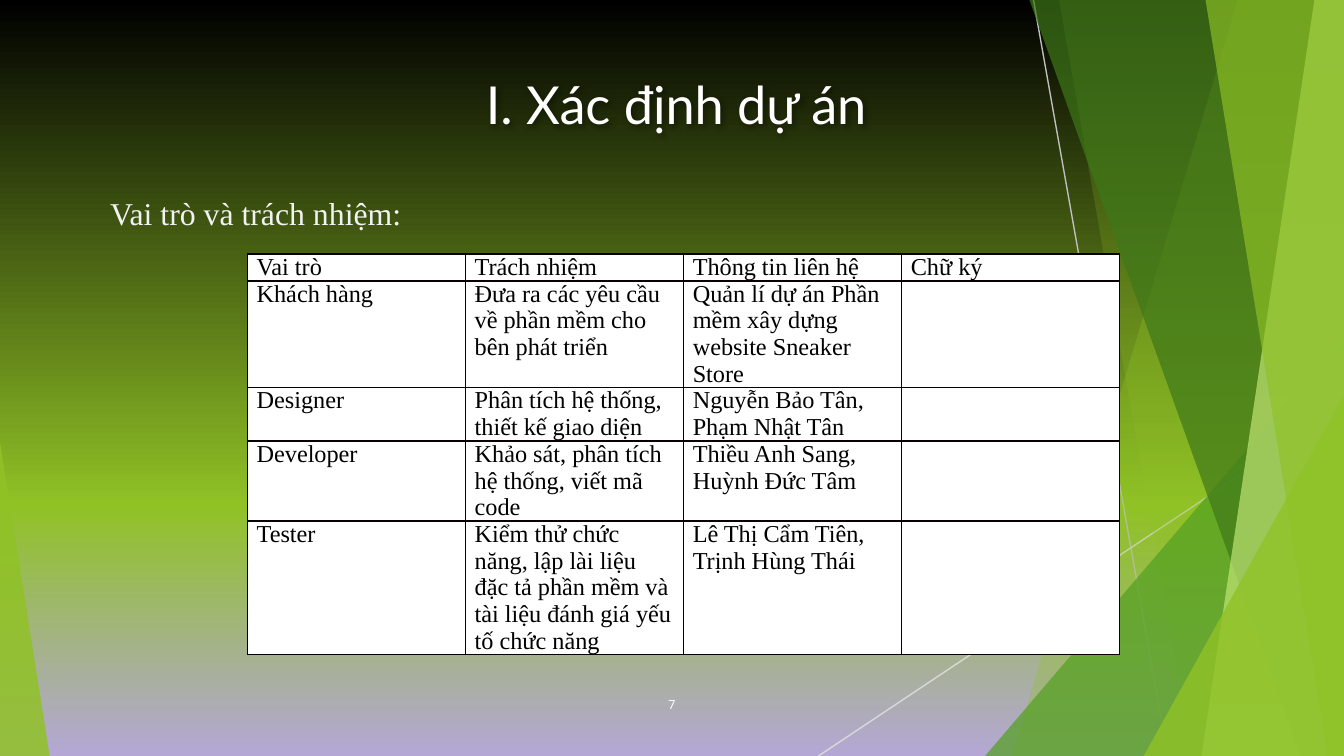
from copy import deepcopy

from lxml import etree
from pptx import Presentation
from pptx.dml.color import RGBColor
from pptx.enum.shapes import MSO_CONNECTOR, MSO_SHAPE
from pptx.enum.text import MSO_ANCHOR, PP_ALIGN
from pptx.oxml.ns import qn
from pptx.util import Inches, Pt

STRAIGHT = MSO_CONNECTOR.STRAIGHT
TRIANGLE = MSO_SHAPE.ISOSCELES_TRIANGLE
MIDDLE, TOP = MSO_ANCHOR.MIDDLE, MSO_ANCHOR.TOP
CENTER, LEFT = PP_ALIGN.CENTER, PP_ALIGN.LEFT

WIDTH = 10
HEIGHT = WIDTH * 9 / 16
LIME = "90C226"
SERIF = "Times New Roman"
LINE_PITCH = 14.3


def paint(color_format, hex_color):
    color_format.rgb = RGBColor.from_string(hex_color)


class SlideBuilder:
    white, black, border = "FFFFFF", "000000", "080000"

    def __init__(self, slide):
        self.slide = slide
        self.shapes = slide.shapes

    def background(self, stops):
        fill = self.slide.background.fill
        fill.gradient()
        fill.gradient_angle = 270
        last = self.slide.background._cSld.find(".//" + qn("a:gsLst"))[-1]
        for _ in stops[2:]:
            last.addnext(deepcopy(last))
        for stop, (position, color) in zip(fill.gradient_stops, stops):
            stop.position = position
            paint(stop.color, color)

    def line(self, start, end, color):
        connector = self.shapes.add_connector(
            STRAIGHT, *(Inches(value) for value in start + end))
        connector.line.width = Pt(0.75)
        connector.line.fill.solid()
        paint(connector.line.color, color)
        etree.SubElement(connector._element.spPr, qn("a:effectLst"))

    def glaze(self, shape, color, opacity):
        shape.shadow.inherit = False
        shape.line.fill.background()
        shape.fill.solid()
        paint(shape.fill.fore_color, color)
        tint = shape._element.spPr.find(".//" + qn("a:srgbClr"))
        etree.SubElement(tint, qn("a:alpha"), val=str(opacity * 1000))

    def pane(self, top_x, bottom_x, color, opacity):
        corners = [(WIDTH, 0), (WIDTH, HEIGHT), (bottom_x, HEIGHT)]
        outline = self.shapes.build_freeform(Inches(top_x), 0, scale=1.0)
        outline.add_line_segments([(Inches(x), Inches(y)) for x, y in corners])
        self.glaze(outline.convert_to_shape(), color, opacity)

    def triangle(self, left, top, width, apex, color, opacity):
        shape = self.shapes.add_shape(
            TRIANGLE, Inches(left), Inches(top), Inches(width), Inches(HEIGHT - top))
        shape.adjustments[0] = apex
        self.glaze(shape, color, opacity)

    def run(self, paragraph, words, size, font, color):
        run = paragraph.add_run()
        run.text = words
        run.font.size = Pt(size)
        run.font.name = font
        paint(run.font.color, color)

    def text(self, box, words, size, font, color, align=LEFT, anchor=TOP, inset=0):
        holder = self.shapes.add_textbox(*(Inches(value) for value in box))
        frame = holder.text_frame
        frame.word_wrap = True
        frame.vertical_anchor = anchor
        frame.margin_left = Inches(inset)
        frame.margin_right = frame.margin_top = frame.margin_bottom = 0
        frame.paragraphs[0].alignment = align
        self.run(frame.paragraphs[0], words, size, font, color)
        return holder

    def soft_shadow(self, shape):
        effects = etree.SubElement(shape._element.spPr, qn("a:effectLst"))
        shadow = etree.SubElement(
            effects, qn("a:outerShdw"), blurRad="38100", dist="19050", dir="2700000")
        tint = etree.SubElement(shadow, qn("a:srgbClr"), val=self.black)
        etree.SubElement(tint, qn("a:alpha"), val="40000")

    def cell_border(self, cell):
        properties = cell._tc.get_or_add_tcPr()
        for side in ("lnL", "lnR", "lnT", "lnB"):
            edge = etree.SubElement(properties, qn("a:" + side), w=str(Pt(1)))
            fill = etree.SubElement(edge, qn("a:solidFill"))
            etree.SubElement(fill, qn("a:srgbClr"), val=self.border)

    def table(self, left, top, width, rows, line_counts):
        columns = len(rows[0])
        heights = [Pt(LINE_PITCH * count) for count in line_counts]
        table = self.shapes.add_table(
            len(rows), columns, Inches(left), Inches(top),
            Inches(width), sum(heights)).table
        table.first_row = table.horz_banding = False
        for row, height, entries in zip(table.rows, heights, rows):
            row.height = height
            for cell, words in zip(row.cells, entries):
                self.cell_border(cell)
                cell.fill.solid()
                paint(cell.fill.fore_color, self.white)
                cell.margin_left = cell.margin_right = Inches(0.07)
                cell.margin_top = cell.margin_bottom = 0
                if words:
                    paragraph = cell.text_frame.paragraphs[0]
                    paragraph.line_spacing = Pt(LINE_PITCH)
                    self.run(paragraph, words, 13, SERIF, self.black)


def main():
    deck = Presentation()
    deck.slide_width, deck.slide_height = Inches(WIDTH), Inches(HEIGHT)
    page = SlideBuilder(deck.slides.add_slide(deck.slide_layouts[6]))

    page.background([(0, "000000"), (0.67, LIME), (1, "B4A7D6")])
    page.line((7.69, 0), (8.69, HEIGHT), "BFBFBF")
    page.line((WIDTH, 3.02), (6.09, HEIGHT), "D9D9D9")
    page.pane(9.21, 7.53, LIME, 30)
    page.pane(7.88, 8.87, LIME, 20)
    page.triangle(7.33, 2.5, 2.67, 1, "54A021", 72)
    page.pane(7.66, 9.68, "3F7819", 70)
    page.pane(9.78, 8.94, "C0E474", 70)
    page.pane(8.97, 9.88, LIME, 65)
    page.triangle(8.51, 2.94, 1.49, 1, LIME, 80)
    page.triangle(0, 3.29, 0.37, 0, LIME, 85)

    title = page.text((1.84, 0.32, 6.32, 0.9), "I. Xác định dự án", 28, "Lato",
                      page.white, CENTER, MIDDLE, 0.06)
    page.soft_shadow(title)
    page.text((4.7, 5.03, 0.6, 0.43), "7", 6.8, "Roboto", page.white, CENTER, MIDDLE)
    page.text((0.82, 1.44, 7.11, 3.37), "Vai trò và trách nhiệm:", 17, SERIF, "F2F2F2")

    roles = [
        ("Vai trò", "Trách nhiệm", "Thông tin liên hệ", "Chữ ký"),
        ("Khách hàng", "Đưa ra các yêu cầu về phần mềm cho bên phát triển",
         "Quản lí dự án Phần mềm xây dựng website Sneaker Store", ""),
        ("Designer", "Phân tích hệ thống, thiết kế giao diện",
         "Nguyễn Bảo Tân, Phạm Nhật Tân", ""),
        ("Developer", "Khảo sát, phân tích hệ thống, viết mã code",
         "Thiều Anh Sang, Huỳnh Đức Tâm", ""),
        ("Tester", "Kiểm thử chức năng, lập lài liệu đặc tả phần mềm và "
         "tài liệu đánh giá yếu tố chức năng", "Lê Thị Cẩm Tiên, Trịnh Hùng Thái", ""),
    ]
    page.table(1.84, 1.89, 6.49, roles, (1, 4, 2, 3, 5))
    deck.save("out.pptx")


if __name__ == "__main__":
    main()
